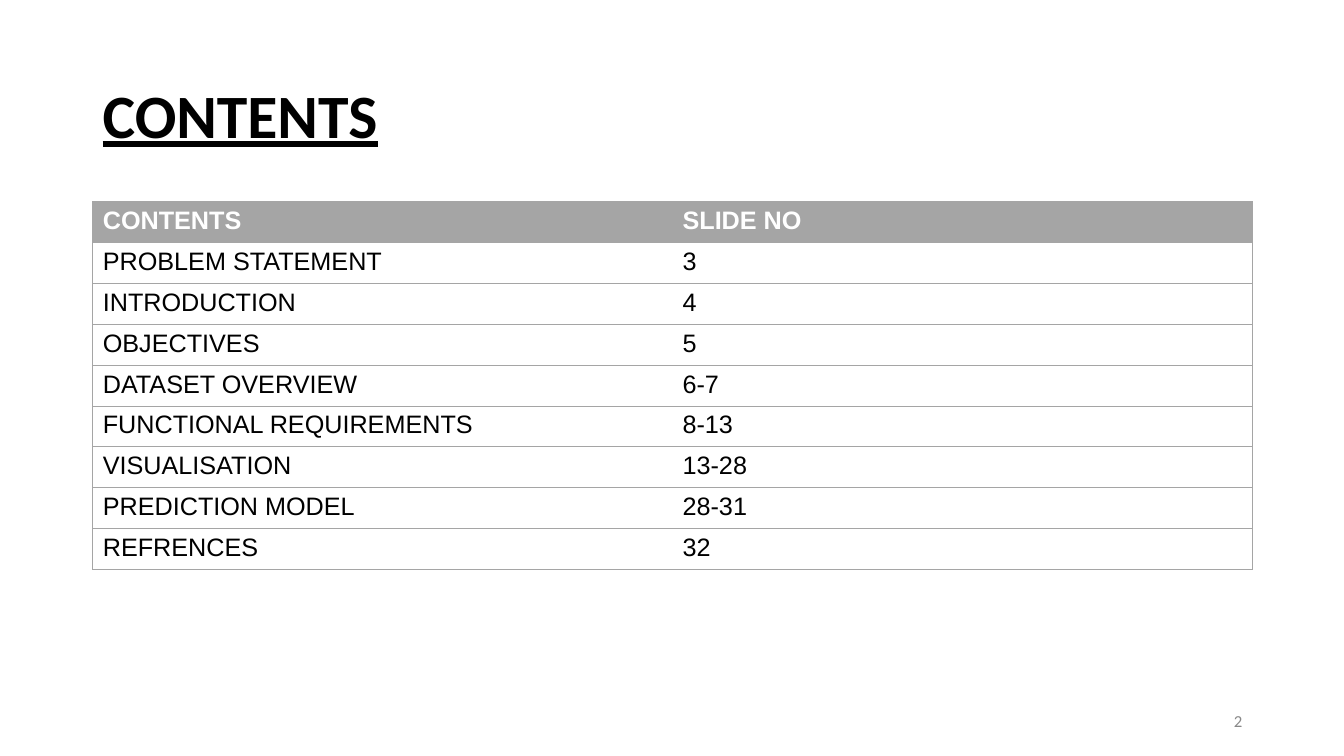
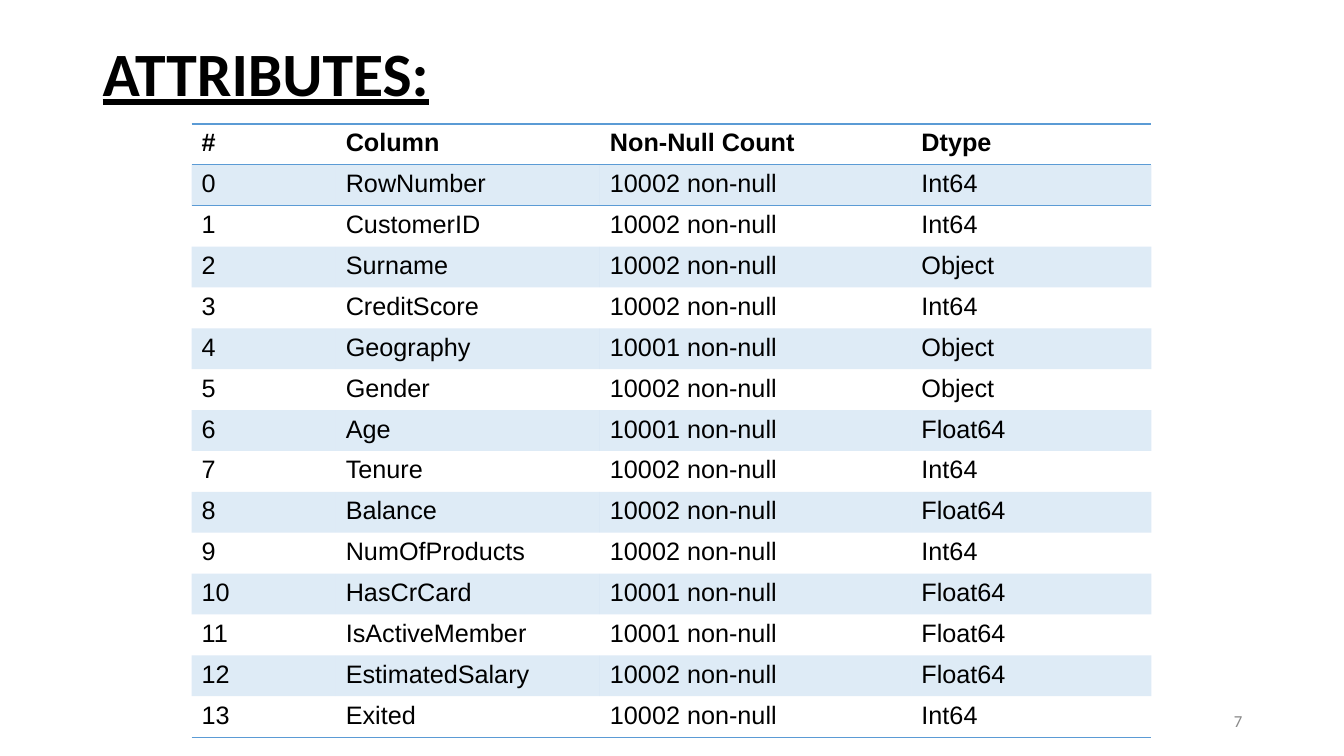
from lxml import etree
from pptx import Presentation
from pptx.dml.color import RGBColor
from pptx.enum.text import MSO_ANCHOR, PP_ALIGN
from pptx.oxml.ns import qn
from pptx.util import Inches, Pt

MIDDLE = MSO_ANCHOR.MIDDLE
LEFT, RIGHT = PP_ALIGN.LEFT, PP_ALIGN.RIGHT

BLACK = RGBColor(0x00, 0x00, 0x00)
WHITE = RGBColor(0xFF, 0xFF, 0xFF)
GREY = RGBColor(0xA5, 0xA5, 0xA5)
BLUE = RGBColor(0x5B, 0x9B, 0xD5)
NUMBER_GREY = RGBColor(0x88, 0x88, 0x88)

TITLE_FONT, TABLE_FONT = "Calibri", "Arial"
PLAIN_TABLE_STYLE = "{2D5ABB26-0587-4C30-8999-92F81FD0307C}"
BAND_ALPHA = "20000"  # thousandths of a percent
ROW_HEIGHT = Pt(29.2)
MARGIN, CONTENT_WIDTH = 0.92, 11.5
NUMBER_WIDTH = 3
NUMBER_LEFT = MARGIN + CONTENT_WIDTH - NUMBER_WIDTH

CONTENTS = [
    ("CONTENTS", "SLIDE NO"),
    ("PROBLEM STATEMENT", "3"),
    ("INTRODUCTION", "4"),
    ("OBJECTIVES", "5"),
    ("DATASET OVERVIEW", "6-7"),
    ("FUNCTIONAL REQUIREMENTS", "8-13"),
    ("VISUALISATION", "13-28"),
    ("PREDICTION MODEL", "28-31"),
    ("REFRENCES", "32"),
]

ATTRIBUTES = [
    ("RowNumber", 10002, "Int64"),
    ("CustomerID", 10002, "Int64"),
    ("Surname", 10002, "Object"),
    ("CreditScore", 10002, "Int64"),
    ("Geography", 10001, "Object"),
    ("Gender", 10002, "Object"),
    ("Age", 10001, "Float64"),
    ("Tenure", 10002, "Int64"),
    ("Balance", 10002, "Float64"),
    ("NumOfProducts", 10002, "Int64"),
    ("HasCrCard", 10001, "Float64"),
    ("IsActiveMember", 10001, "Float64"),
    ("EstimatedSalary", 10002, "Float64"),
    ("Exited", 10002, "Int64"),
]
ATTRIBUTE_ROWS = [("#", "Column", "Non-Null Count", "Dtype")] + [
    (str(index), name, f"{count} non-null", dtype)
    for index, (name, count, dtype) in enumerate(ATTRIBUTES)
]

# Rules lists the table rows that have a line above them.
PAGES = [
    dict(title="CONTENTS", title_top=0.4, title_height=1.45, number="2",
         rows=CONTENTS, left=MARGIN, top=2, columns=[CONTENT_WIDTH / 2] * 2,
         accent=GREY, line_width=0.75, rules=[0, 1, 3, 5, 7], boxed=True,
         header_color=WHITE, header_filled=True, banded=False),
    dict(title="ATTRIBUTES:", title_top=0.15, title_height=1.12, number="7",
         rows=ATTRIBUTE_ROWS, left=1.9, top=1.23,
         columns=[1.43, 2.62, 3.09, 2.38],
         accent=BLUE, line_width=1, rules=[0, 1], boxed=False,
         header_color=BLACK, header_filled=False, banded=True),
]


def add_label(slide, box, text, size, color, align=LEFT):
    """Add a middle-anchored line of text and return its run."""
    frame = slide.shapes.add_textbox(*map(Inches, box)).text_frame
    frame.word_wrap = True
    frame.vertical_anchor = MIDDLE
    paragraph = frame.paragraphs[0]
    paragraph.alignment = align
    run = paragraph.add_run()
    run.text = text
    run.font.name, run.font.size = TITLE_FONT, Pt(size)
    run.font.color.rgb = color
    return run


def add_border(cell, side, color, width):
    """Draw one side of a cell; sides come in the order L, R, T, B."""
    properties = cell._tc.get_or_add_tcPr()
    line = etree.SubElement(properties, qn(f"a:ln{side}"), w=str(Pt(width)))
    fill = etree.SubElement(line, qn("a:solidFill"))
    etree.SubElement(fill, qn("a:srgbClr"), val=str(color))


prs = Presentation()
prs.slide_width, prs.slide_height = Inches(13.33), Inches(7.5)
blank = prs.slide_layouts[6]

for page in PAGES:
    slide = prs.slides.add_slide(blank)
    title = add_label(
        slide, (MARGIN, page["title_top"], CONTENT_WIDTH, page["title_height"]),
        page["title"], 44, BLACK)
    title.font.bold = title.font.underline = True

    rows, columns = page["rows"], page["columns"]
    table_frame = slide.shapes.add_table(
        len(rows), len(columns), Inches(page["left"]), Inches(page["top"]),
        Inches(sum(columns)), ROW_HEIGHT * len(rows))
    next(table_frame.element.iter(qn("a:tableStyleId"))).text = PLAIN_TABLE_STYLE
    table = table_frame.table
    table.horz_banding = page["banded"]
    for column, width in zip(table.columns, columns):
        column.width = Inches(width)

    for r, values in enumerate(rows):
        table.rows[r].height = ROW_HEIGHT
        is_header = r == 0
        is_band = page["banded"] and r % 2 == 1
        for c, value in enumerate(values):
            cell = table.cell(r, c)
            sides = {
                "L": page["boxed"] and c == 0,
                "R": page["boxed"] and c == len(columns) - 1,
                "T": r in page["rules"],
                "B": r + 1 in page["rules"] or r == len(rows) - 1,
            }
            for side, drawn in sides.items():
                if drawn:
                    add_border(cell, side, page["accent"], page["line_width"])

            if is_band or (is_header and page["header_filled"]):
                cell.fill.solid()
                cell.fill.fore_color.rgb = page["accent"]
            else:
                cell.fill.background()
            if is_band:
                tint = cell._tc.tcPr.find(f"{qn('a:solidFill')}/{qn('a:srgbClr')}")
                etree.SubElement(tint, qn("a:alpha"), val=BAND_ALPHA)

            run = cell.text_frame.paragraphs[0].add_run()
            run.text = value
            run.font.name, run.font.size = TABLE_FONT, Pt(18)
            run.font.bold = is_header
            run.font.color.rgb = page["header_color"] if is_header else BLACK

    add_label(slide, (NUMBER_LEFT, 6.95, NUMBER_WIDTH, 0.4),
              page["number"], 12, NUMBER_GREY, RIGHT)

prs.save("out.pptx")
